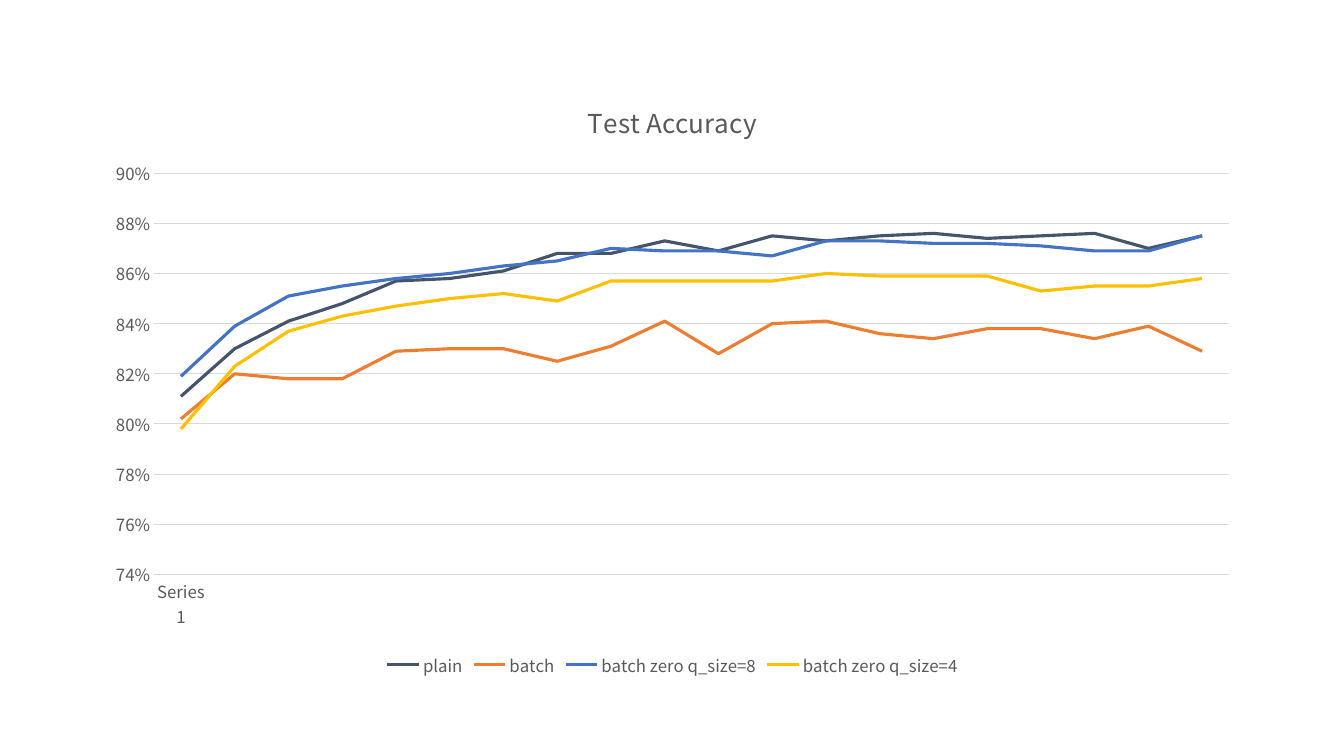
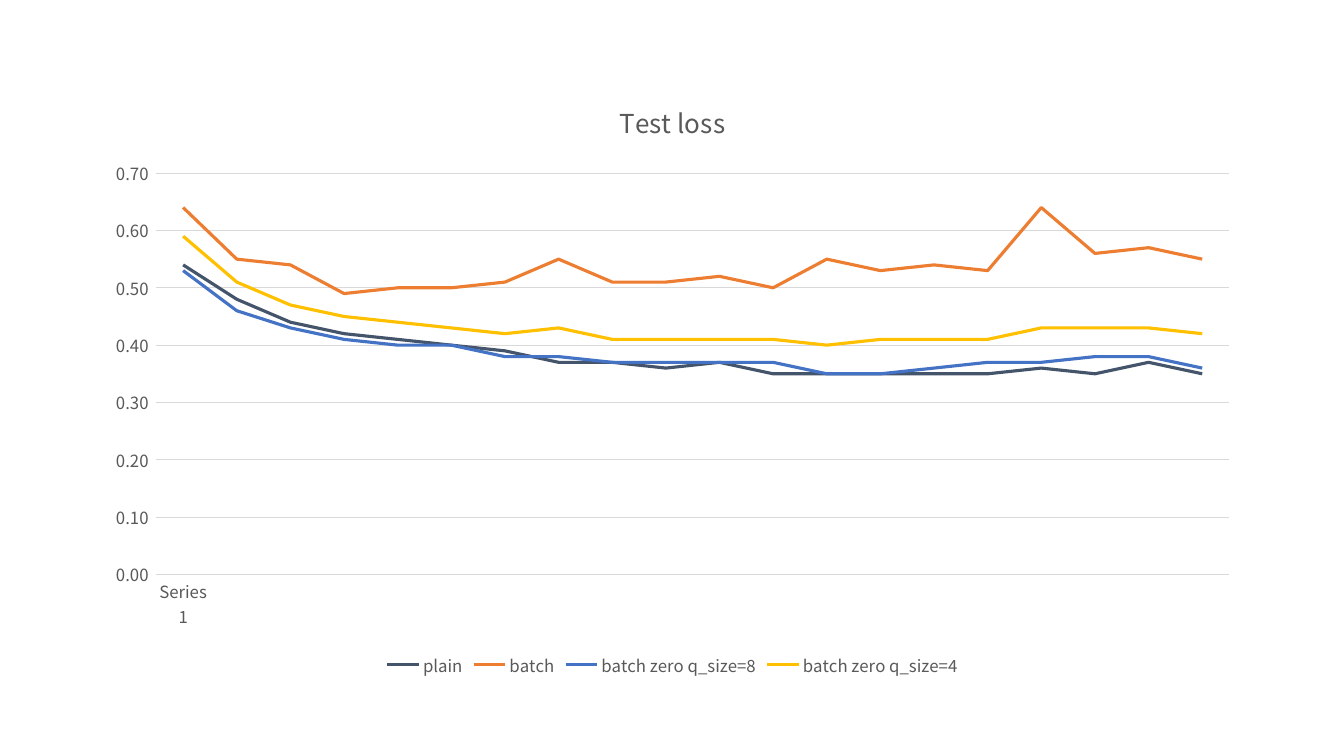
from pptx import Presentation
from pptx.chart.data import CategoryChartData
from pptx.dml.color import RGBColor
from pptx.enum.chart import XL_CHART_TYPE, XL_LEGEND_POSITION, XL_TICK_MARK
from pptx.util import Inches, Pt

LINE = XL_CHART_TYPE.LINE
BOTTOM = XL_LEGEND_POSITION.BOTTOM
NO_TICK = XL_TICK_MARK.NONE

FONT = "Noto Sans CJK KR"
COLORS = {
    "text": "595959",
    "grid": "D9D9D9",
    "plain": "44546A",
    "batch": "ED7D31",
    "batch zero q_size=8": "4472C4",
    "batch zero q_size=4": "FFC000",
}
EPOCHS = 20
BLANK = 6

CHARTS = [
    {
        "title": "Test Accuracy",
        "format": "0%",
        "scale": {"minimum_scale": 0.74, "maximum_scale": 0.9, "major_unit": 0.02},
        "series": {
            "plain": [0.811, 0.83, 0.841, 0.848, 0.857, 0.858, 0.861, 0.868, 0.868, 0.873,
                      0.869, 0.875, 0.873, 0.875, 0.876, 0.874, 0.875, 0.876, 0.87, 0.875],
            "batch": [0.802, 0.82, 0.818, 0.818, 0.829, 0.83, 0.83, 0.825, 0.831, 0.841,
                      0.828, 0.84, 0.841, 0.836, 0.834, 0.838, 0.838, 0.834, 0.839, 0.829],
            "batch zero q_size=8": [
                0.819, 0.839, 0.851, 0.855, 0.858, 0.86, 0.863, 0.865, 0.87, 0.869,
                0.869, 0.867, 0.873, 0.873, 0.872, 0.872, 0.871, 0.869, 0.869, 0.875],
            "batch zero q_size=4": [
                0.798, 0.823, 0.837, 0.843, 0.847, 0.85, 0.852, 0.849, 0.857, 0.857,
                0.857, 0.857, 0.86, 0.859, 0.859, 0.859, 0.853, 0.855, 0.855, 0.858],
        },
    },
    {
        "title": "Test loss",
        "format": "#,##0.00_);[Red]\\(#,##0.00\\)",
        "scale": {"minimum_scale": 0, "maximum_scale": 0.7, "major_unit": 0.1},
        "series": {
            "plain": [0.54, 0.48, 0.44, 0.42, 0.41, 0.4, 0.39, 0.37, 0.37, 0.36,
                      0.37, 0.35, 0.35, 0.35, 0.35, 0.35, 0.36, 0.35, 0.37, 0.35],
            "batch": [0.64, 0.55, 0.54, 0.49, 0.5, 0.5, 0.51, 0.55, 0.51, 0.51,
                      0.52, 0.5, 0.55, 0.53, 0.54, 0.53, 0.64, 0.56, 0.57, 0.55],
            "batch zero q_size=8": [
                0.53, 0.46, 0.43, 0.41, 0.4, 0.4, 0.38, 0.38, 0.37, 0.37,
                0.37, 0.37, 0.35, 0.35, 0.36, 0.37, 0.37, 0.38, 0.38, 0.36],
            "batch zero q_size=4": [
                0.59, 0.51, 0.47, 0.45, 0.44, 0.43, 0.42, 0.43, 0.41, 0.41,
                0.41, 0.41, 0.4, 0.41, 0.41, 0.41, 0.43, 0.43, 0.43, 0.42],
        },
    },
]


def style_font(font, size):
    font.name, font.size, font.bold = FONT, Pt(size), False
    font.color.rgb = RGBColor.from_string(COLORS["text"])


def style_line(line, color, width):
    line.color.rgb = RGBColor.from_string(COLORS[color])
    line.width = Pt(width)


prs = Presentation()
prs.slide_width, prs.slide_height = Inches(13.33), Inches(7.5)
chart_box = [Inches(v) for v in (0.92, 0.77, 11.5, 5.99)]

for content in CHARTS:
    data = CategoryChartData(number_format=content["format"])
    data.categories = ["Series 1"] + [""] * (EPOCHS - 1)
    for name, values in content["series"].items():
        data.add_series(name, values)

    slide = prs.slides.add_slide(prs.slide_layouts[BLANK])
    chart = slide.shapes.add_chart(LINE, *chart_box, data).chart
    style_font(chart.font, 12)

    chart.has_title = True
    tf = chart.chart_title.text_frame
    tf.text = content["title"]
    style_font(tf.paragraphs[0].runs[0].font, 18.6)
    chart.chart_title.include_in_layout = False

    chart.has_legend = True
    chart.legend.position = BOTTOM
    chart.legend.include_in_layout = False
    style_font(chart.legend.font, 12)

    for axis in (chart.category_axis, chart.value_axis):
        axis.major_tick_mark = axis.minor_tick_mark = NO_TICK
        style_font(axis.tick_labels.font, 12)
    style_line(chart.category_axis.format.line, "grid", 0.75)

    value_axis = chart.value_axis
    for key, value in content["scale"].items():
        setattr(value_axis, key, value)
    value_axis.tick_labels.number_format = content["format"]
    value_axis.tick_labels.number_format_is_linked = False
    value_axis.format.line.fill.background()
    style_line(value_axis.major_gridlines.format.line, "grid", 0.75)

    chart.plots[0].vary_by_categories = False
    for series in chart.plots[0].series:
        series.smooth = False
        style_line(series.format.line, series.name, 2.25)

prs.save("out.pptx")
